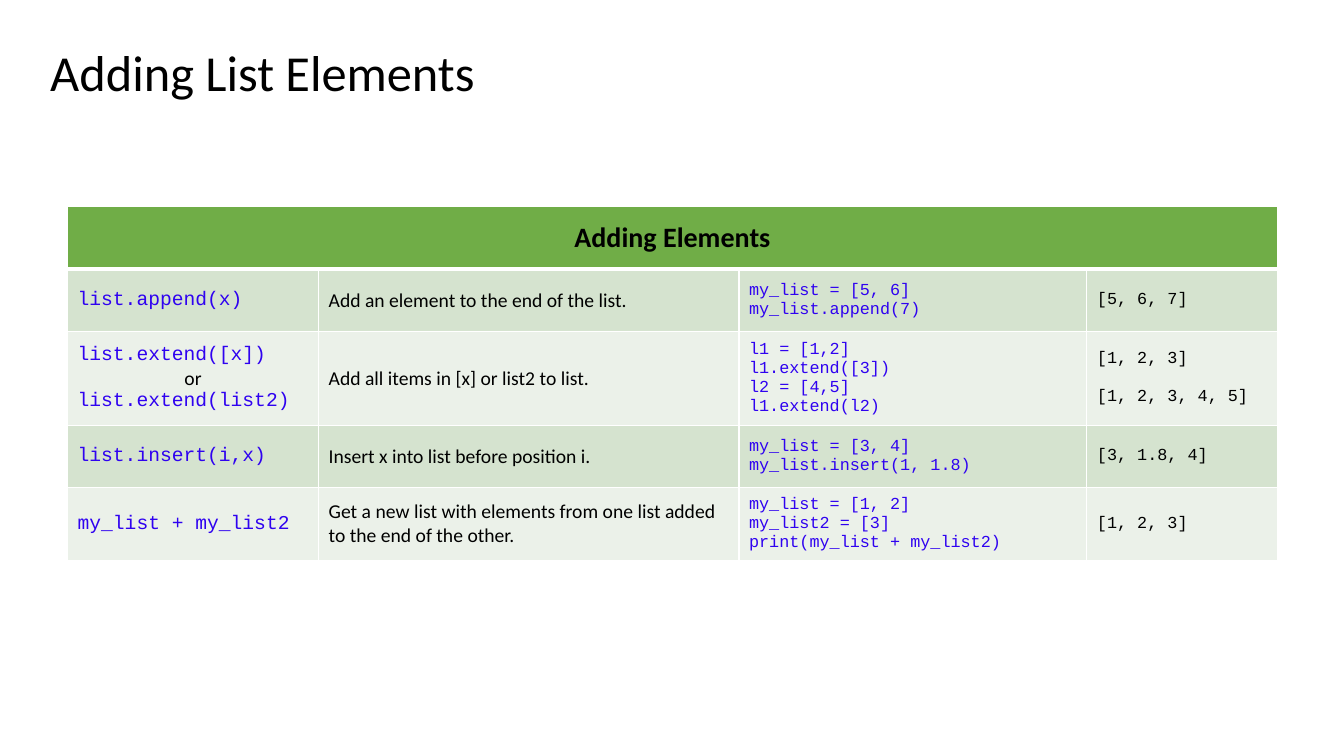
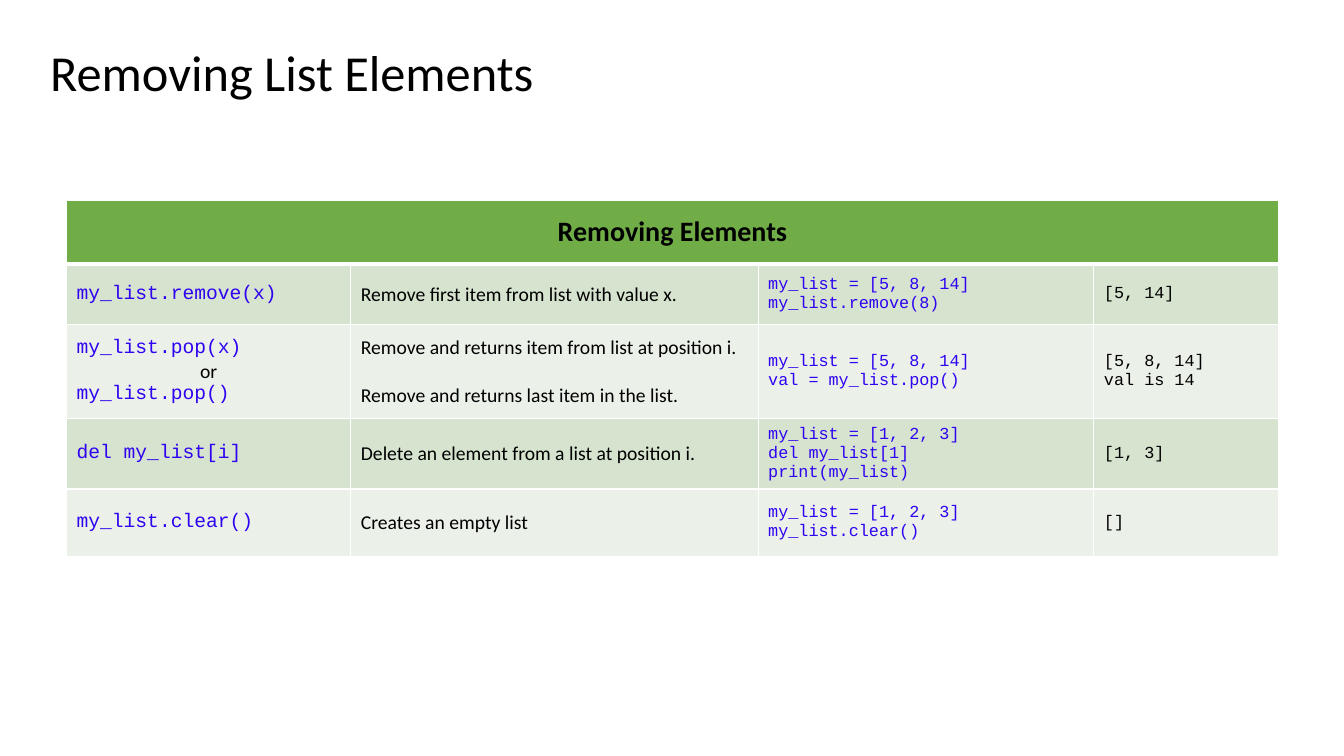
from lxml import etree
from pptx import Presentation
from pptx.dml.color import RGBColor
from pptx.enum.text import MSO_ANCHOR, PP_ALIGN
from pptx.oxml.ns import qn
from pptx.util import Inches, Pt

MIDDLE = MSO_ANCHOR.MIDDLE
LEFT, CENTER = PP_ALIGN.LEFT, PP_ALIGN.CENTER
BLACK = RGBColor(0x00, 0x00, 0x00)
WHITE = RGBColor(0xFF, 0xFF, 0xFF)
CODE_BLUE = RGBColor(0x2F, 0x02, 0xF0)
HEADER_GREEN = RGBColor(0x70, 0xAD, 0x47)
BANDS = (RGBColor(0xD5, 0xE3, 0xCF), RGBColor(0xEB, 0xF1, 0xE9))
BODY_FONT, CODE_FONT = "Calibri", "Courier New"
BLANK_LAYOUT = 6
TITLE_BOX = (0.4, 0.24, 11.5, 1.02)

COLUMN_FORMATS = (
    dict(size=14, font=CODE_FONT, color=CODE_BLUE),
    dict(size=14, gap=17.1),
    dict(size=12, font=CODE_FONT, color=CODE_BLUE),
    dict(size=12, font=CODE_FONT, gap=13.6),
)

ADDING_ROWS = (
    ("list.append(x)", "Add an element to the end of the list.",
     "my_list = [5, 6]\nmy_list.append(7)", "[5, 6, 7]"),
    ("list.extend([x])\nor\nlist.extend(list2)",
     "Add all items in [x] or list2 to list.",
     "l1 = [1,2]\nl1.extend([3])\nl2 = [4,5]\nl1.extend(l2)",
     "[1, 2, 3]\n\n[1, 2, 3, 4, 5]"),
    ("list.insert(i,x)", "Insert x into list before position i.",
     "my_list = [3, 4]\nmy_list.insert(1, 1.8)", "[3, 1.8, 4]"),
    ("my_list + my_list2",
     "Get a new list with elements from one list added to the end of the other.",
     "my_list = [1, 2]\nmy_list2 = [3]\nprint(my_list + my_list2)", "[1, 2, 3]"),
)
REMOVING_ROWS = (
    ("my_list.remove(x)", "Remove first item from list with value x.",
     "my_list = [5, 8, 14]\nmy_list.remove(8)", "[5, 14]"),
    ("my_list.pop(x)\nor\nmy_list.pop()",
     "Remove and returns item from list at position i.\n\n"
     "Remove and returns last item in the list.",
     "my_list = [5, 8, 14]\nval = my_list.pop()", "[5, 8, 14]\nval is 14"),
    ("del my_list[i]", "Delete an element from a list at position i.",
     "my_list = [1, 2, 3]\ndel my_list[1]\nprint(my_list)", "[1, 3]"),
    ("my_list.clear()", "Creates an empty list",
     "my_list = [1, 2, 3]\nmy_list.clear()", "[]"),
)


def write_text(frame, text, size=14, font=BODY_FONT, color=BLACK, bold=False,
               align=LEFT, line_spacing=None, gap=0):
    """Write one paragraph per line; a double line break becomes a gap."""
    frame.word_wrap = True
    para = None
    for block_index, block in enumerate(text.split("\n\n")):
        for line_index, line in enumerate(block.split("\n")):
            para = frame.add_paragraph() if para else frame.paragraphs[0]
            joins_calls = line == "or"
            para.alignment = CENTER if joins_calls else align
            if line_spacing:
                para.line_spacing = line_spacing
            if block_index and line_index == 0:
                para.space_before = Pt(gap)
            span = para.add_run()
            span.text = line
            span.font.size = Pt(size)
            span.font.name = BODY_FONT if joins_calls else font
            span.font.bold = bold
            span.font.color.rgb = BLACK if joins_calls else color


def style_cell(cell, fill, top=1, bottom=1):
    cell.vertical_anchor = MIDDLE
    properties = cell._tc.get_or_add_tcPr()
    for side, width in (("L", 1), ("R", 1), ("T", top), ("B", bottom)):
        line = etree.SubElement(properties, qn("a:ln" + side), w=str(Pt(width)))
        solid = etree.SubElement(line, qn("a:solidFill"))
        etree.SubElement(solid, qn("a:srgbClr"), val=str(WHITE))
    cell.fill.solid()
    cell.fill.fore_color.rgb = fill


def add_title(page, box, text):
    frame = page.shapes.add_textbox(*map(Inches, box)).text_frame
    frame.vertical_anchor = MIDDLE
    write_text(frame, text, size=36, line_spacing=0.9)


def add_method_table(page, left, top, heading, rows, widths, heights):
    table = page.shapes.add_table(
        len(heights), len(widths), Inches(left), Inches(top),
        Inches(sum(widths)), Inches(sum(heights))).table
    table.first_row = table.horz_banding = False
    for column, width in zip(table.columns, widths):
        column.width = Inches(width)
    for row, height in zip(table.rows, heights):
        row.height = Inches(height)

    header = table.cell(0, 0)
    header.merge(table.cell(0, len(widths) - 1))
    for cell in table.rows[0].cells:
        style_cell(cell, HEADER_GREEN, bottom=3)
    write_text(header.text_frame, heading, size=20, bold=True, align=CENTER)

    for row_index, texts in enumerate(rows):
        for column_index, text in enumerate(texts):
            cell = table.cell(row_index + 1, column_index)
            style_cell(cell, BANDS[row_index % 2], top=1 if row_index else 3)
            write_text(cell.text_frame, text, **COLUMN_FORMATS[column_index])


def add_method_slide(deck, action, left, top, rows, widths, heights):
    page = deck.slides.add_slide(deck.slide_layouts[BLANK_LAYOUT])
    add_title(page, TITLE_BOX, f"{action} List Elements")
    add_method_table(page, left, top, f"{action} Elements", rows, widths, heights)


def main():
    deck = Presentation()
    deck.slide_width, deck.slide_height = Inches(13.33), Inches(7.5)
    add_method_slide(deck, "Adding", 0.67, 2.05, ADDING_ROWS,
                     (2.49, 4.17, 3.45, 1.89), (0.62, 0.62, 0.93, 0.62, 0.72))
    add_method_slide(deck, "Removing", 0.66, 1.99, REMOVING_ROWS,
                     (2.82, 4.04, 3.33, 1.83), (0.63, 0.6, 0.93, 0.67, 0.67))
    deck.save("out.pptx")


if __name__ == "__main__":
    main()
